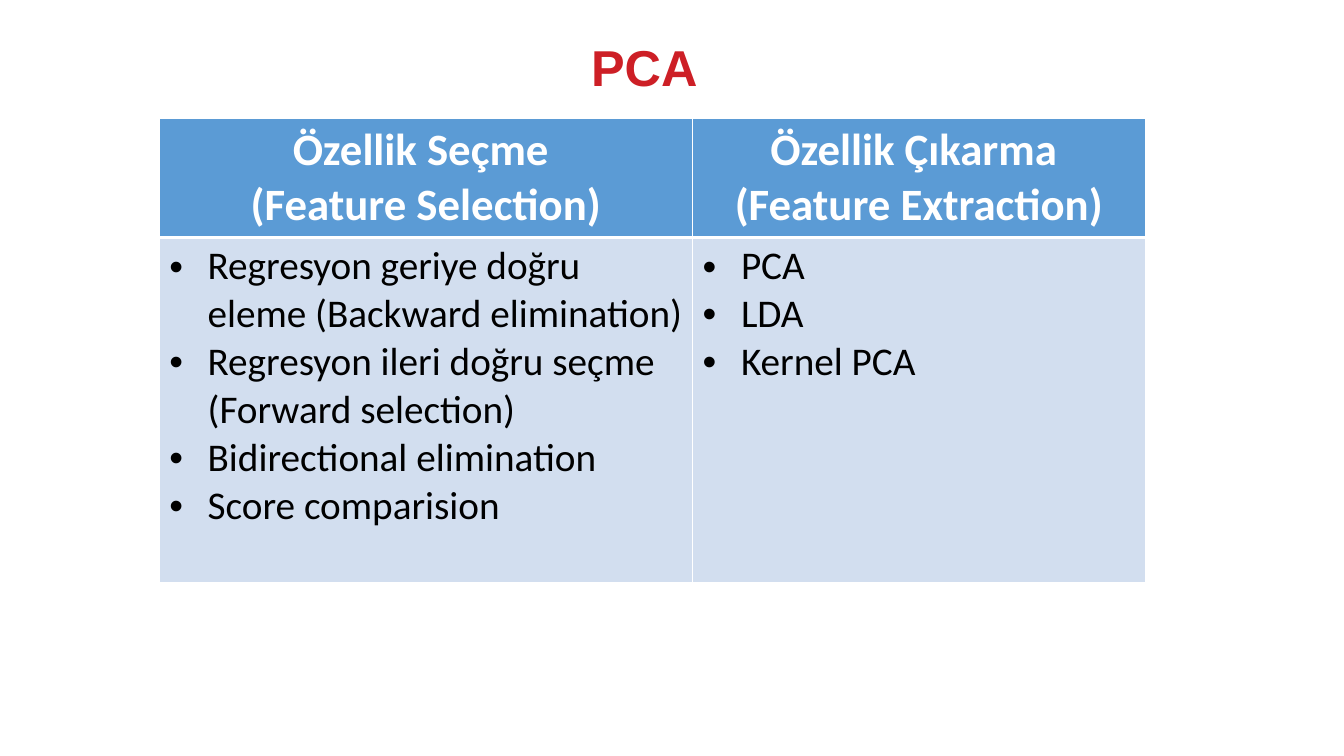
from lxml.etree import SubElement
from pptx import Presentation
from pptx.dml.color import RGBColor
from pptx.enum.text import MSO_ANCHOR, MSO_AUTO_SIZE, PP_ALIGN
from pptx.oxml.ns import qn
from pptx.util import Inches, Pt

COLORS = {"red": "CD1F26", "blue": "5B9BD5", "pale": "D2DEEF",
          "white": "FFFFFF", "black": "000000"}


def write(frame, lines, size, color, font="Calibri", bold=False,
          align=PP_ALIGN.LEFT, space=None, bullet=False):
    frame.word_wrap = True
    for i, line in enumerate(lines):
        para = frame.paragraphs[0] if i == 0 else frame.add_paragraph()
        para.alignment = align
        if space:
            para.line_spacing = space
        if bullet:
            props = para._p.get_or_add_pPr()
            props.set("marL", str(Inches(0.38)))
            props.set("indent", str(-Inches(0.38)))
            SubElement(props, qn("a:buFont"), typeface="Arial")
            SubElement(props, qn("a:buChar"), char="•")
        run = para.add_run()
        run.text = line
        run.font.name = font
        run.font.size = Pt(size)
        run.font.bold = bold
        run.font.color.rgb = RGBColor.from_string(COLORS[color])


def border(cell, side, width):
    line = SubElement(cell._tc.get_or_add_tcPr(), qn("a:ln" + side),
                      w=str(Pt(width)))
    fill = SubElement(line, qn("a:solidFill"))
    SubElement(fill, qn("a:srgbClr"), val=COLORS["white"])


deck = Presentation()
deck.slide_width = Inches(13.33)
deck.slide_height = Inches(7.5)
slide = deck.slides.add_slide(deck.slide_layouts[5])

title = slide.shapes.title
title.left, title.top = Inches(1.78), Inches(0.37)
title.width, title.height = Inches(9.22), Inches(0.65)
title.text_frame.auto_size = MSO_AUTO_SIZE.NONE
title.text_frame.vertical_anchor = MSO_ANCHOR.MIDDLE
write(title.text_frame, ["PCA"], 36, "red", font="Arial", bold=True,
      align=PP_ALIGN.CENTER, space=0.9)

heads = [["Özellik Seçme ", "(Feature Selection)"],
         ["Özellik Çıkarma ", "(Feature Extraction)"]]
lists = [["Regresyon geriye doğru eleme (Backward elimination)",
          "Regresyon ileri doğru seçme (Forward selection)",
          "Bidirectional elimination",
          "Score comparision"],
         ["PCA", "LDA", "Kernel PCA"]]

table = slide.shapes.add_table(2, 2, Inches(1.58), Inches(1.17),
                               Inches(9.78), Inches(4.6)).table
for col, width in zip(table.columns, (5.29, 4.49)):
    col.width = Inches(width)
for row, height in zip(table.rows, (1.18, 3.42)):
    row.height = Inches(height)

styles = [dict(size=32, color="white", bold=True, align=PP_ALIGN.CENTER),
          dict(size=28, color="black", bullet=True)]
edges = [dict(L=1, R=1, T=1, B=3), dict(L=1, R=1, T=3, B=1)]
fills = ["blue", "pale"]
for r, texts in enumerate((heads, lists)):
    for c, lines in enumerate(texts):
        cell = table.cell(r, c)
        write(cell.text_frame, lines, **styles[r])
        for side, width in edges[r].items():
            border(cell, side, width)
        cell.fill.solid()
        cell.fill.fore_color.rgb = RGBColor.from_string(COLORS[fills[r]])

deck.save("out.pptx")
